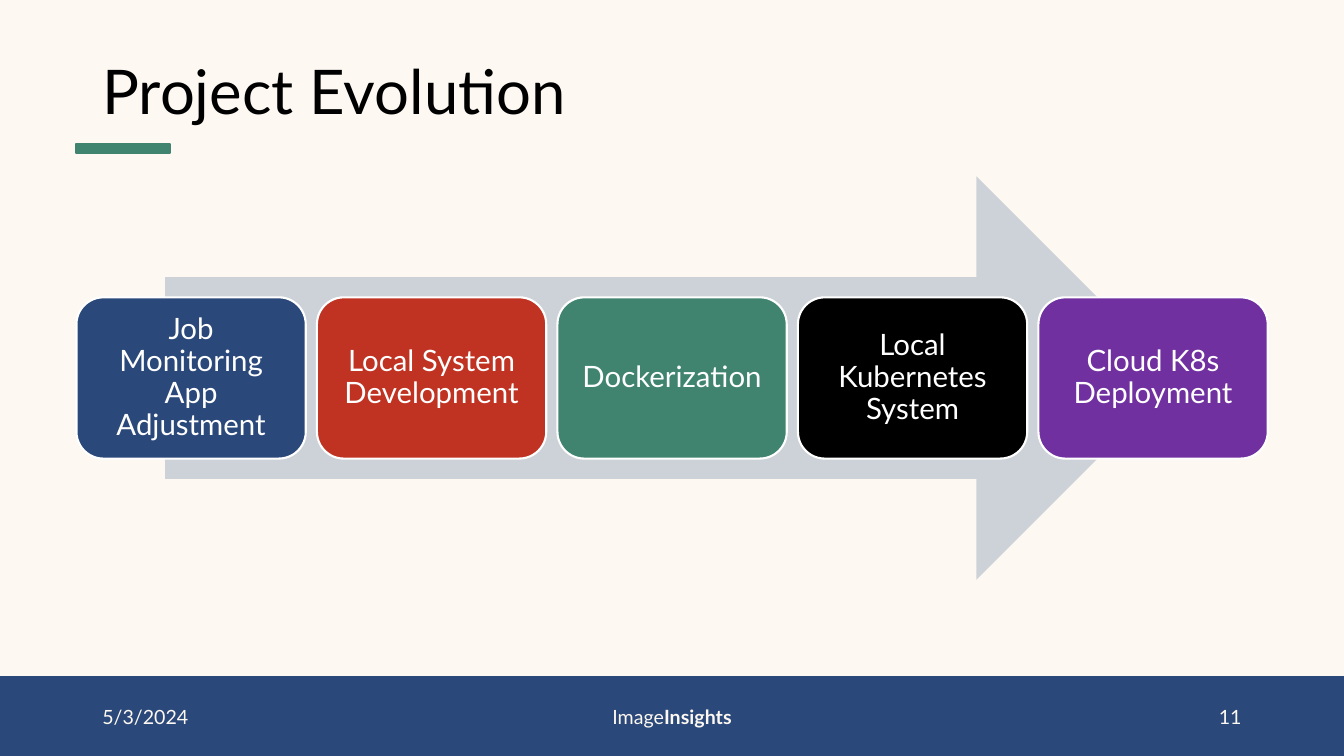
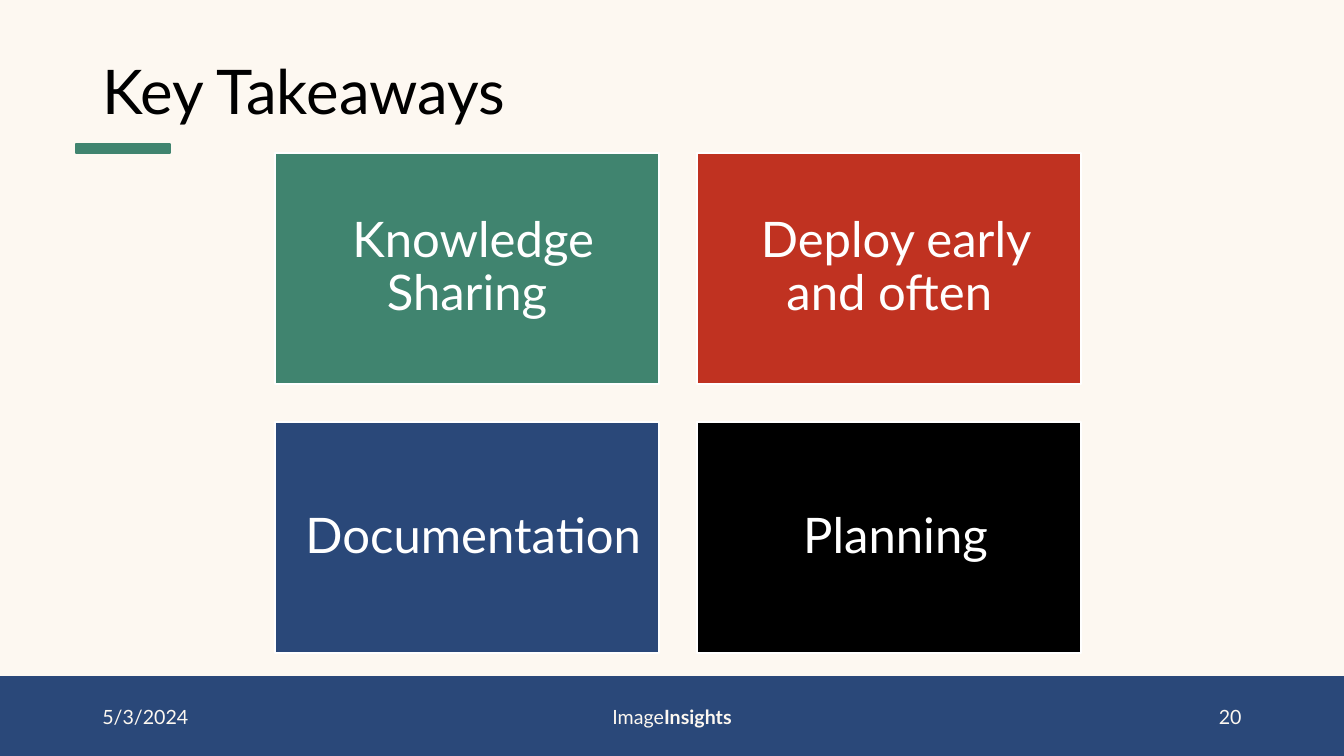
from dataclasses import dataclass

import pptx
import pptx.dml.color
import pptx.enum.shapes
import pptx.enum.text
import pptx.presentation
import pptx.shapes.autoshape
import pptx.slide
import pptx.text.text
import pptx.util

RGBColor = pptx.dml.color.RGBColor
Kind = pptx.enum.shapes.MSO_SHAPE
Align = pptx.enum.text.PP_ALIGN
Middle = pptx.enum.text.MSO_ANCHOR.MIDDLE

CREAM = RGBColor(0xFD, 0xF8, 0xF1)
BLACK = RGBColor(0x00, 0x00, 0x00)
WHITE = RGBColor(0xFF, 0xFF, 0xFF)
BLUE = RGBColor(0x2A, 0x48, 0x79)
GREEN = RGBColor(0x40, 0x84, 0x6F)
RED = RGBColor(0xC0, 0x32, 0x21)
PURPLE = RGBColor(0x70, 0x30, 0xA0)
GREY = RGBColor(0xCC, 0xD2, 0xD8)

FONT = "Lato"
WIDTH = pptx.util.Inches(13.33)
HEIGHT = pptx.util.Inches(7.5)
COLS = 160
ROWS = 90
TITLE_ONLY = 5


@dataclass(frozen=True)
class Box:
    col: float
    row: float
    wide: float
    high: float

    def shift(self, across: float, down: float = 0) -> "Box":
        return Box(self.col + across, self.row + down, self.wide, self.high)

    def frame(self) -> tuple[int, int, int, int]:
        return (
            round(self.col * WIDTH / COLS),
            round(self.row * HEIGHT / ROWS),
            round(self.wide * WIDTH / COLS),
            round(self.high * HEIGHT / ROWS),
        )


@dataclass(frozen=True)
class Card:
    label: str
    fill: RGBColor


@dataclass(frozen=True)
class Style:
    kind: Kind
    size: float
    inset: float


@dataclass(frozen=True)
class Note:
    box: Box
    align: Align
    words: tuple[str, ...]


TITLE = Box(11, 4.8, 138, 13)
BAND = Box(0, 80.6, COLS, 9.4)
ACCENT = Box(9, 17.15, 11.2, 1.1)
ARROW = Box(19.65, 21, 120.6, 48)

STEP = Box(9.1, 35.4, 27.3, 19.2)
STEP_PITCH = 28.63
STEP_STYLE = Style(Kind.ROUNDED_RECTANGLE, 21, 0.09)
STEPS = (
    Card("Job Monitoring App Adjustment", BLUE),
    Card("Local System Development", RED),
    Card("Dockerization", GREEN),
    Card("Local Kubernetes System", BLACK),
    Card("Cloud K8s Deployment", PURPLE),
)

TILE = Box(32.75, 18.25, 45.7, 27.45)
TILE_PITCH = 50.27
TILE_DROP = 32.03
TILE_STYLE = Style(Kind.RECTANGLE, 35, 0.15)
TILES = (
    Card(" Knowledge Sharing", GREEN),
    Card(" Deploy early and often", RED),
    Card(" Documentation", BLUE),
    Card(" Planning", BLACK),
)


def add_block(
    slide: pptx.slide.Slide,
    kind: Kind,
    box: Box,
    fill: RGBColor,
    edge: RGBColor | None,
) -> pptx.shapes.autoshape.Shape:
    shape = slide.shapes.add_shape(kind, *box.frame())
    shape.shadow.inherit = False
    shape.fill.solid()
    shape.fill.fore_color.rgb = fill
    if edge is None:
        shape.line.fill.background()
    else:
        shape.line.color.rgb = edge
        shape.line.width = pptx.util.Pt(1.5)
    return shape


def set_text(
    para: pptx.text.text._Paragraph, size: float, ink: RGBColor, align: Align
) -> None:
    para.alignment = align
    para.font.name = FONT
    para.font.size = pptx.util.Pt(size)
    para.font.color.rgb = ink


def add_card(slide: pptx.slide.Slide, card: Card, box: Box, style: Style) -> None:
    frame = add_block(slide, style.kind, box, card.fill, WHITE).text_frame
    frame.word_wrap = True
    frame.vertical_anchor = Middle
    inset = pptx.util.Inches(style.inset)
    frame.margin_left = frame.margin_right = inset
    frame.margin_top = frame.margin_bottom = inset
    para = frame.paragraphs[0]
    para.text = card.label
    para.line_spacing = 0.9
    set_text(para, style.size, WHITE, Align.CENTER)


def add_note(slide: pptx.slide.Slide, note: Note) -> None:
    frame = slide.shapes.add_textbox(*note.box.frame()).text_frame
    frame.word_wrap = True
    frame.vertical_anchor = Middle
    para = frame.paragraphs[0]
    for place, word in enumerate(note.words):
        run = para.add_run()
        run.text = word
        if place:
            run.font.bold = True
    set_text(para, 14, CREAM, note.align)


def add_page(
    deck: pptx.presentation.Presentation, title: str, page: int
) -> pptx.slide.Slide:
    slide = deck.slides.add_slide(deck.slide_layouts[TITLE_ONLY])
    slide.background.fill.solid()
    slide.background.fill.fore_color.rgb = CREAM

    head = slide.shapes.title
    head.left, head.top, head.width, head.height = TITLE.frame()
    head.text_frame.vertical_anchor = Middle
    para = head.text_frame.paragraphs[0]
    para.text = title
    para.line_spacing = 0.9
    set_text(para, 44, BLACK, Align.LEFT)

    add_block(slide, Kind.RECTANGLE, BAND, BLUE, BLUE)
    add_block(slide, Kind.RECTANGLE, ACCENT, GREEN, GREEN)
    notes = (
        Note(Box(53, 82.9, 54, 4.8), Align.CENTER, ("Image", "Insights")),
        Note(Box(113, 82.9, 36, 4.8), Align.RIGHT, (str(page),)),
        Note(Box(11, 82.9, 36, 4.8), Align.LEFT, ("5/3/2024",)),
    )
    for note in notes:
        add_note(slide, note)
    return slide


def draw_steps(deck: pptx.presentation.Presentation) -> None:
    slide = add_page(deck, "Project Evolution", 11)
    add_block(slide, Kind.RIGHT_ARROW, ARROW, GREY, None)
    for place, card in enumerate(STEPS):
        add_card(slide, card, STEP.shift(place * STEP_PITCH), STEP_STYLE)


def draw_tiles(deck: pptx.presentation.Presentation) -> None:
    slide = add_page(deck, "Key Takeaways", 20)
    for place, card in enumerate(TILES):
        row, col = divmod(place, 2)
        box = TILE.shift(col * TILE_PITCH, row * TILE_DROP)
        add_card(slide, card, box, TILE_STYLE)


def main() -> None:
    deck = pptx.Presentation()
    deck.slide_width = WIDTH
    deck.slide_height = HEIGHT
    draw_steps(deck)
    draw_tiles(deck)
    deck.save("out.pptx")


if __name__ == "__main__":
    main()
